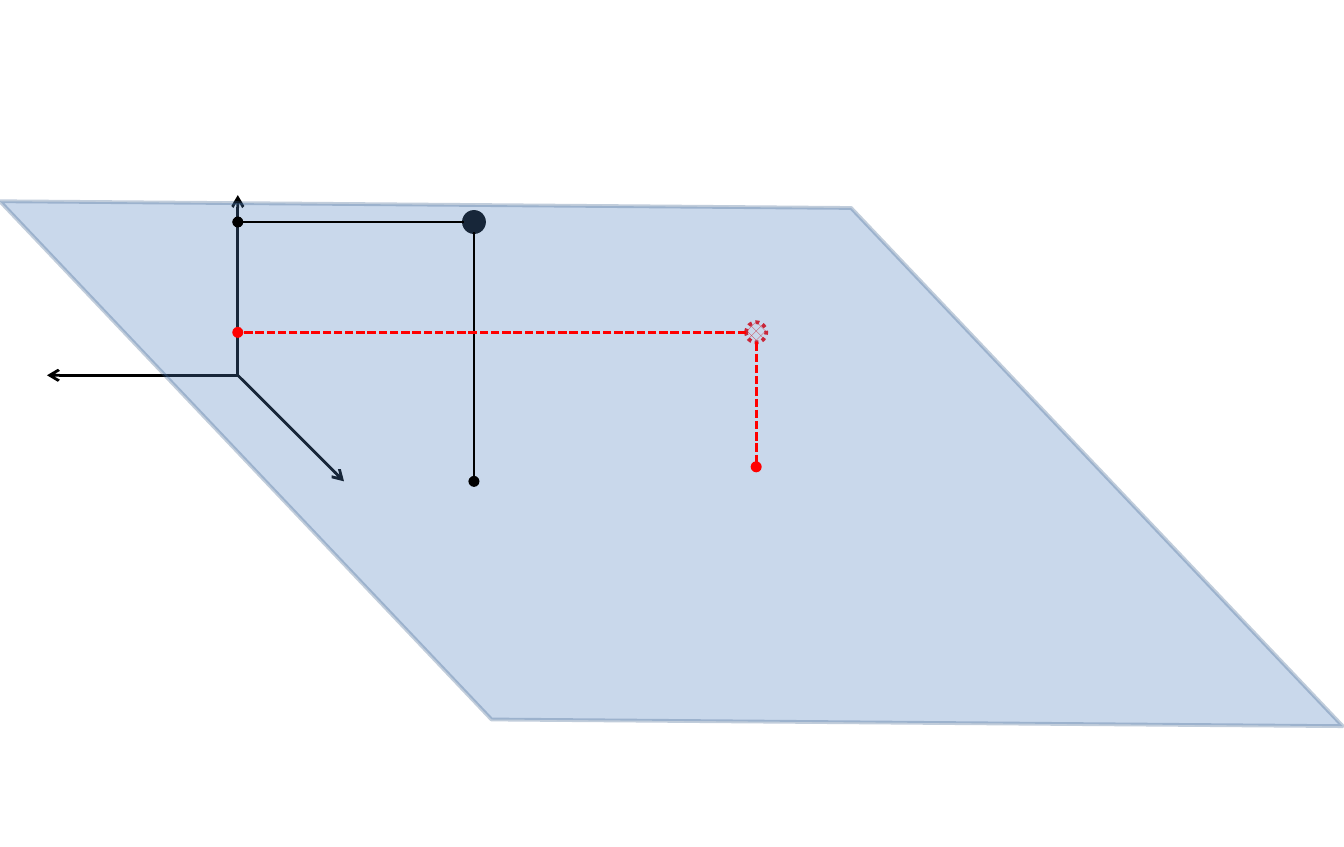
from lxml import etree
from pptx import Presentation
from pptx.dml.color import RGBColor
from pptx.enum.dml import MSO_LINE, MSO_PATTERN
from pptx.enum.shapes import MSO_CONNECTOR, MSO_SHAPE
from pptx.oxml.ns import qn
from pptx.util import Pt

STRAIGHT = MSO_CONNECTOR.STRAIGHT
ELLIPSE, PARALLELOGRAM = MSO_SHAPE.OVAL, MSO_SHAPE.PARALLELOGRAM
DOTTED, DASHED = MSO_LINE.ROUND_DOT, MSO_LINE.SQUARE_DOT
HALF_TONE = MSO_PATTERN.PERCENT_50

BLACK = RGBColor(0x00, 0x00, 0x00)
RED = RGBColor(0xFF, 0x00, 0x00)
WHITE = RGBColor(0xFF, 0xFF, 0xFF)
PLANE_FILL = RGBColor(0x4F, 0x81, 0xBD)
PLANE_EDGE = RGBColor(0x3A, 0x5F, 0x8C)

# Content, in points
SLIDE_SIZE = (720, 453.6)
ORIGIN = (127.4, 201)
AXIS_TIPS = [(127.4, 104.5), (184.3, 257.8), (25.2, 201)]
PLANE = dict(box=(10.1, 84.2, 699.1, 328.3), rotation=226.5, slant=0.964)
RADIUS = 5.4
POINTS = [
    dict(center=(253.9, 118.9), foot=257.8, color=BLACK, projected=False),
    dict(center=(405.1, 178), foot=250, color=RED, projected=True),
]


def add_line(start, end, color, tail, dash=None):
    line = slide.shapes.add_connector(STRAIGHT, *map(Pt, start + end))
    line.line.color.rgb = color
    line.line.width = Pt(1.5)
    if dash is not None:
        line.line.dash_style = dash
    etree.SubElement(line.line._get_or_add_ln(), qn("a:tailEnd"), type=tail)
    etree.SubElement(line._element.spPr, qn("a:effectLst"))


def add_outlined(kind, box, edge):
    shape = slide.shapes.add_shape(kind, *map(Pt, box))
    shape.shadow.inherit = False
    shape.line.color.rgb = edge
    shape.line.width = Pt(2)
    return shape


def set_opacity(fill_parent, percent):
    color = fill_parent.find(qn("a:solidFill"))[0]
    etree.SubElement(color, qn("a:alpha"), val=str(percent * 1000))


prs = Presentation()
prs.slide_width, prs.slide_height = map(Pt, SLIDE_SIZE)
slide = prs.slides.add_slide(prs.slide_layouts[6])

# Axes
for tip in AXIS_TIPS:
    add_line(ORIGIN, tip, BLACK, "arrow")

# Balls
for point in POINTS:
    x, y = point["center"]
    ball = add_outlined(ELLIPSE, (x - RADIUS, y - RADIUS, 2 * RADIUS, 2 * RADIUS),
                        point["color"])
    if point["projected"]:
        ball.fill.patterned()
        ball.fill.pattern = HALF_TONE
        ball.fill.fore_color.rgb = RED
        ball.fill.back_color.rgb = WHITE
        ball.line.dash_style = DOTTED
    else:
        ball.fill.solid()
        ball.fill.fore_color.rgb = point["color"]

# Translucent plane over axes and balls
plane = add_outlined(PARALLELOGRAM, PLANE["box"], PLANE_EDGE)
plane.rotation = PLANE["rotation"]
plane.adjustments[0] = PLANE["slant"]
plane.fill.solid()
plane.fill.fore_color.rgb = PLANE_FILL
set_opacity(plane._element.spPr, 30)
set_opacity(plane.line._get_or_add_ln(), 31)

# Projections of each ball onto the vertical axis and the ground
for point in POINTS:
    x, y = point["center"]
    dash = DASHED if point["projected"] else None
    add_line((x - RADIUS, y), (ORIGIN[0], y), point["color"], "oval", dash)
    add_line((x, y + RADIUS), (x, point["foot"]), point["color"], "oval", dash)

prs.save("out.pptx")
